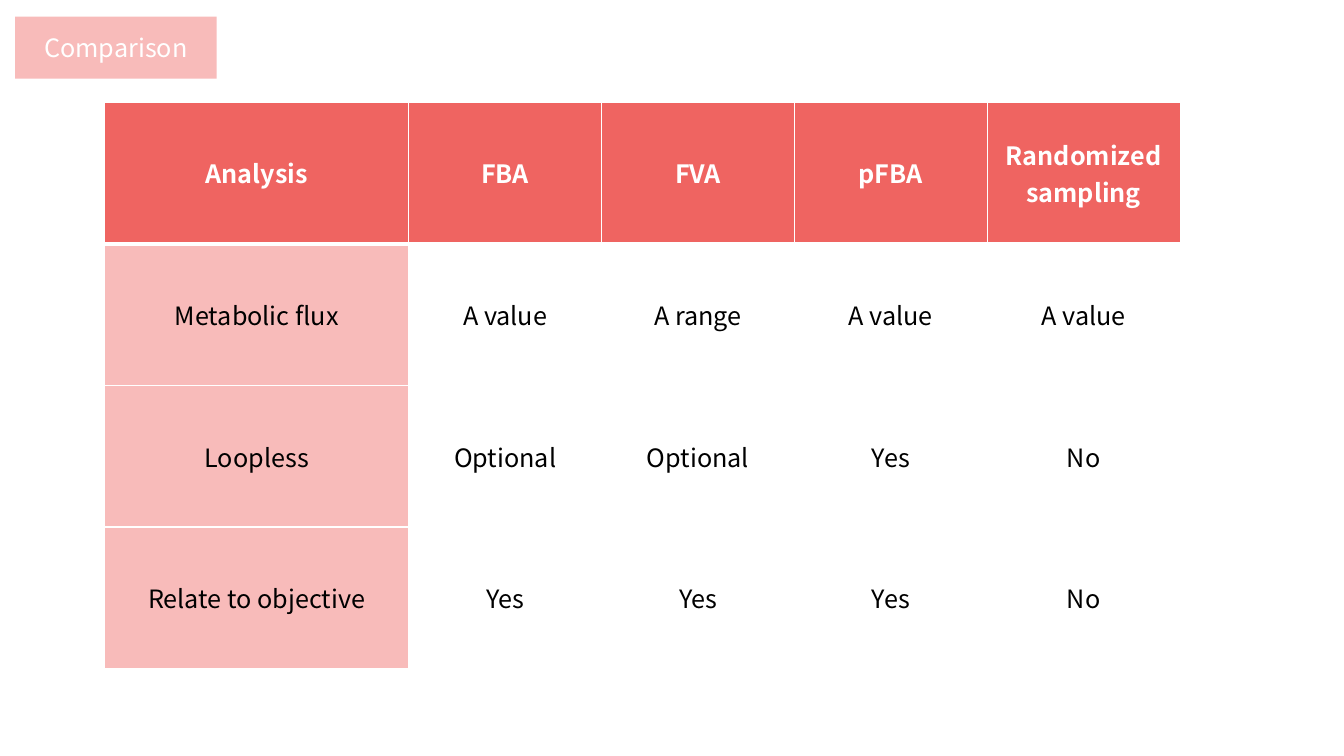
"""Build a slide with a table comparing flux analysis methods."""
from lxml import etree
from pptx import Presentation
from pptx.dml.color import RGBColor
from pptx.enum.text import MSO_ANCHOR, MSO_AUTO_SIZE, PP_ALIGN
from pptx.oxml import parse_xml
from pptx.oxml.ns import nsdecls, qn
from pptx.util import Cm, Pt

TITLE = "Comparison"
ROWS = [
    ["Analysis", "FBA", "FVA", "pFBA", "Randomized\nsampling"],
    ["Metabolic flux", "A value", "A range", "A value", "A value"],
    ["Loopless", "Optional", "Optional", "Yes", "No"],
    ["Relate to objective", "Yes", "Yes", "Yes", "No"],
]

FONT = "Noto Sans CJK JP"
WHITE, BLACK, RED, PINK = "FFFFFF", "000000", "EF6461", "F8BBBA"
CENTER = PP_ALIGN.CENTER
MIDDLE = MSO_ANCHOR.MIDDLE
NO_AUTOFIT = MSO_AUTO_SIZE.NONE

TABLE_LEFT, TABLE_TOP = 2.64, 2.57
COLUMN_WIDTHS = [7.66] + [4.86] * 4
ROW_HEIGHT = 3.57
THIN, THICK = 1, 3


def color(hex_value):
    return RGBColor.from_string(hex_value)


def fill_solid(item, hex_value):
    item.fill.solid()
    item.fill.fore_color.rgb = color(hex_value)


def format_text(text_frame, hex_value, bold=False):
    for paragraph in text_frame.paragraphs:
        paragraph.alignment = CENTER
        paragraph.font.name = FONT
        paragraph.font.size = Pt(18)
        paragraph.font.bold = bold
        paragraph.font.color.rgb = color(hex_value)


def add_borders(cell, top, bottom):
    properties = cell._tc.get_or_add_tcPr()
    for side, width in (("L", THIN), ("R", THIN), ("T", top), ("B", bottom)):
        line = etree.SubElement(properties, qn(f"a:ln{side}"), w=str(Pt(width)))
        line_fill = etree.SubElement(line, qn("a:solidFill"))
        etree.SubElement(line_fill, qn("a:srgbClr"), val=WHITE)


def add_title(slide):
    title = slide.shapes.title
    title.left, title.top = Cm(0.38), Cm(0.42)
    title.width, title.height = Cm(5.08), Cm(1.56)
    title._element.spPr.append(parse_xml(
        f'<a:prstGeom {nsdecls("a")} prst="roundRect"><a:avLst>'
        '<a:gd name="adj" fmla="val 50000"/></a:avLst></a:prstGeom>'))
    fill_solid(title, PINK)
    text_frame = title.text_frame
    text_frame.text = TITLE
    text_frame.auto_size = NO_AUTOFIT
    text_frame.vertical_anchor = MIDDLE
    format_text(text_frame, WHITE)


def add_comparison_table(slide):
    table = slide.shapes.add_table(
        len(ROWS), len(COLUMN_WIDTHS), Cm(TABLE_LEFT), Cm(TABLE_TOP),
        Cm(sum(COLUMN_WIDTHS)), Cm(ROW_HEIGHT * len(ROWS))).table
    for column, width in zip(table.columns, COLUMN_WIDTHS):
        column.width = Cm(width)
    for row_index, texts in enumerate(ROWS):
        table.rows[row_index].height = Cm(ROW_HEIGHT)
        is_header = row_index == 0
        for column_index, text in enumerate(texts):
            cell = table.cell(row_index, column_index)
            cell.text = text
            cell.vertical_anchor = MIDDLE
            add_borders(cell, THICK if row_index == 1 else THIN,
                        THICK if is_header else THIN)
            body_fill = PINK if column_index == 0 else WHITE
            fill_solid(cell, RED if is_header else body_fill)
            format_text(cell.text_frame, WHITE if is_header else BLACK, is_header)


def main():
    presentation = Presentation()
    presentation.slide_width, presentation.slide_height = Cm(33.87), Cm(19.05)
    slide = presentation.slides.add_slide(
        presentation.slide_layouts.get_by_name("Title Only"))
    add_title(slide)
    add_comparison_table(slide)
    presentation.save("out.pptx")


if __name__ == "__main__":
    main()
